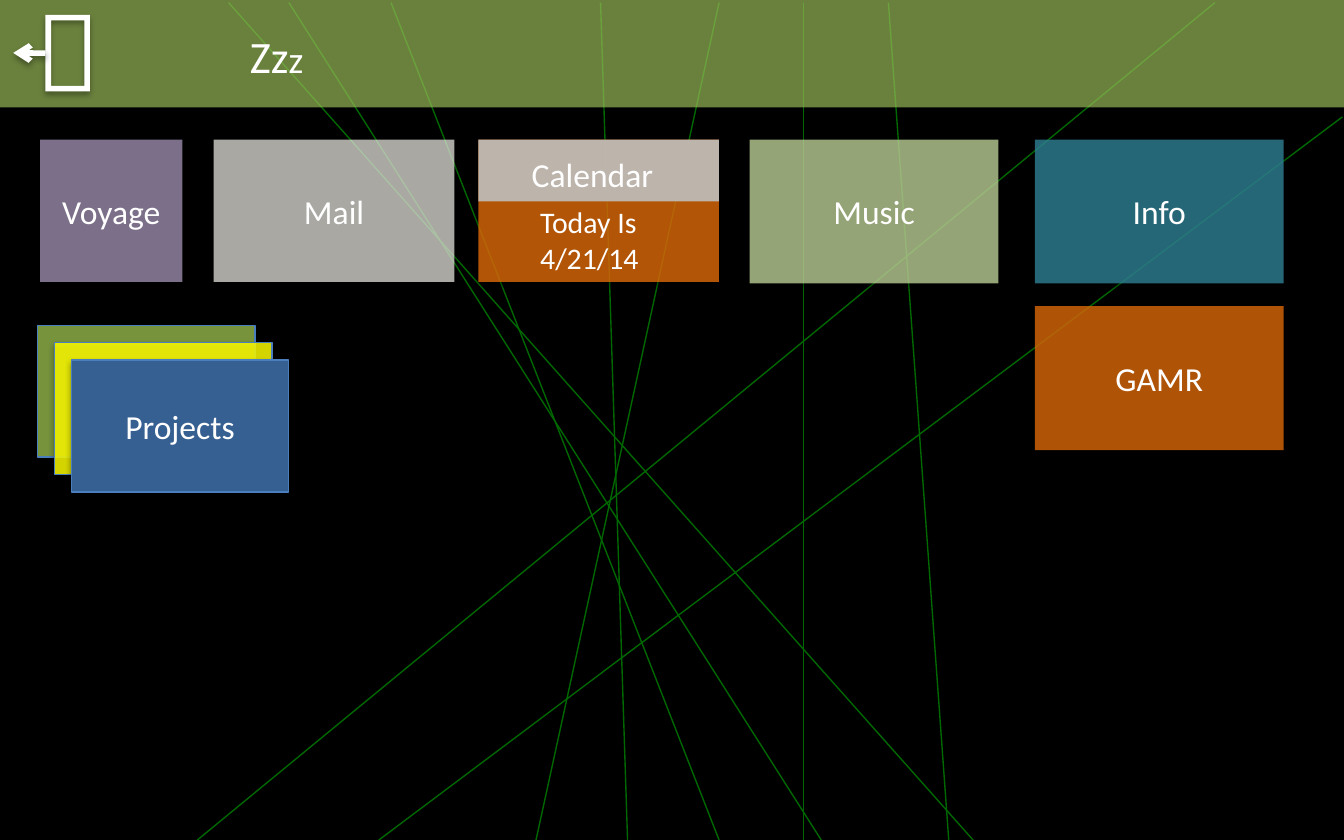
from dataclasses import dataclass

from lxml.etree import SubElement
from pptx import Presentation
from pptx.dml.color import RGBColor
from pptx.enum.shapes import MSO_CONNECTOR, MSO_SHAPE
from pptx.enum.text import MSO_ANCHOR, MSO_AUTO_SIZE, PP_ALIGN
from pptx.oxml.ns import qn
from pptx.util import Cm, Pt


@dataclass(frozen=True)
class Theme:
    font: str = "Calibri"
    head: int = 24
    small: int = 20
    label: int = 18
    date: int = 16
    white: str = "FFFFFF"
    black: str = "000000"
    beam: str = "006800"
    bar: str = "9BBB59"
    edge: str = "4B7EBC"
    mail: str = "F5F4ED"
    web: str = "B3A2C7"
    orange: str = "E46C0A"
    gray: str = "BFBFBF"
    music: str = "C3D69B"
    info: str = "31859C"
    stack: tuple = (("77933C", 100), ("FFFF00", 83), ("376092", 100))


T = Theme()
WIDE, HIGH = 25.4, 15.88
EDGE = 0.05  # top end of the beams
BEAMS = [  # top x, top y, bottom x
    (25.37, 2.21, 7.16), (7.39, EDGE, 13.59), (13.59, EDGE, 10.13),
    (16.79, EDGE, 17.93), (5.46, EDGE, 15.52), (22.96, EDGE, 3.73),
    (15.19, EDGE, 15.19), (4.32, EDGE, 18.39), (11.35, EDGE, 11.86),
]
ROW = 2.64
TILES = [  # text, box, colour, opacity
    ("Mail", (4.04, ROW, 4.55, 2.69), T.mail, 69),
    ("Voyage", (0.76, ROW, 2.69, 2.69), T.web, 69),
    ("Music", (14.17, ROW, 4.7, 2.72), T.music, 77),
    ("Info", (19.56, ROW, 4.7, 2.72), T.info, 77),
    ("GAMR", (19.56, 5.79, 4.7, 2.72), T.orange, 77),
]


def rgb(code):
    return RGBColor.from_string(code)


def effect(part, shade):
    """Give a part a soft shadow below it, or none at all."""
    group = SubElement(part._element.spPr, qn("a:effectLst"))
    if shade:
        drop = SubElement(group, qn("a:outerShdw"), blurRad="40000",
                          dist="23000", dir="5400000", rotWithShape="0")
        color = SubElement(drop, qn("a:srgbClr"), val=T.black)
        SubElement(color, qn("a:alpha"), val="35000")


def style(para, size):
    para.font.name = T.font
    para.font.size = Pt(size)
    para.font.color.rgb = rgb(T.white)


def block(shapes, box, color, alpha=100, edge=None, width=0.75, shade=True,
          text="", kind=MSO_SHAPE.RECTANGLE):
    part = shapes.add_shape(kind, *map(Cm, box))
    part.fill.solid()
    part.fill.fore_color.rgb = rgb(color)
    if alpha < 100:
        fill = part._element.spPr.find(".//" + qn("a:srgbClr"))
        SubElement(fill, qn("a:alpha"), val=str(alpha * 1000))
    if edge:
        part.line.color.rgb = rgb(edge)
        part.line.width = Pt(width)
    else:
        part.line.fill.background()
    effect(part, shade)
    if text:
        part.text_frame.text = text
        part.text_frame.vertical_anchor = MSO_ANCHOR.MIDDLE
        para = part.text_frame.paragraphs[0]
        para.alignment = PP_ALIGN.CENTER
        style(para, T.label)
    return part


def line(shapes, ends, color, width):
    part = shapes.add_connector(MSO_CONNECTOR.STRAIGHT, *map(Cm, ends))
    part.line.color.rgb = rgb(color)
    part.line.width = Pt(width)
    return part


def note(shapes, box, text, size, wrap):
    frame = shapes.add_textbox(*map(Cm, box)).text_frame
    frame.word_wrap = wrap
    frame.text = text
    for para in frame.paragraphs:
        style(para, size)
    return frame


def backdrop(shapes, box):
    x, y, w, h = box
    block(shapes, box, T.black, edge=T.black, width=2, shade=False)
    group = shapes.add_group_shape().shapes
    for top, drop, foot in BEAMS:
        beam = line(group, (x + top, y + drop, x + foot, y + h), T.beam, 0.75)
        effect(beam, False)


def header(shapes, box):
    x, y, w, h = box
    block(shapes, box, T.bar, 69, shade=False)

    # Exit icon: a door and an arrow leaving it
    icon = shapes.add_group_shape().shapes
    door = block(icon, (x + 0.86, y + 0.28, 0.84, 1.45), T.white,
                 kind=MSO_SHAPE.FRAME)
    arrow = line(icon, (x + 0.86, y + 1, x + 0.25, y + 1), T.white, 3)
    arrow.begin_connect(door, 1)
    SubElement(arrow.line._get_or_add_ln(), qn("a:tailEnd"), type="arrow")
    effect(arrow, True)

    # Title, brought in front of the bar
    title = shapes.title
    shapes._spTree.append(title._element)
    title.left, title.top = Cm(x + 4.47), Cm(y + 0.41)
    title.width, title.height = Cm(1.6), Cm(1.27)
    frame = title.text_frame
    frame.word_wrap = False
    frame.auto_size = MSO_AUTO_SIZE.NONE
    frame.vertical_anchor = MSO_ANCHOR.TOP
    para = frame.paragraphs[0]
    para.alignment = PP_ALIGN.LEFT
    style(para, T.head)
    para.add_run().text = "Zz"
    last = para.add_run()
    last.text = "z"
    last.font.size = Pt(T.small)


def projects(shapes, box):
    x, y, w, h = box
    group = shapes.add_group_shape().shapes
    for i, (color, alpha) in enumerate(T.stack):
        text = "Projects" if i == len(T.stack) - 1 else ""
        block(group, (x + i * 0.32, y + i * 0.33, w, h), color, alpha,
              edge=T.edge, text=text)


def calendar(shapes, box):
    x, y, w, h = box
    block(shapes, box, T.orange, 79)
    block(shapes, (x, y, w, 1.17), T.gray, 90, shade=False)
    note(shapes, (x + 0.76, y + 0.15, 3.12, 1.02), "Calendar", T.label, False)
    today = note(shapes, (x + 0.92, y + 1.47, 5.92, 0.84),
                 "Today Is\n4/21/14", T.date, True)
    today.vertical_anchor = MSO_ANCHOR.MIDDLE


def main():
    deck = Presentation()
    deck.slide_width, deck.slide_height = Cm(WIDE), Cm(HIGH)
    shapes = deck.slides.add_slide(deck.slide_layouts[5]).shapes
    backdrop(shapes, (0, 0, WIDE, HIGH))
    header(shapes, (0, 0, WIDE, 2.03))
    for text, box, color, alpha in TILES:
        block(shapes, box, color, alpha, text=text)
    projects(shapes, (0.71, 6.15, 4.11, 2.49))
    calendar(shapes, (9.04, ROW, 4.55, 2.69))
    deck.save("out.pptx")


if __name__ == "__main__":
    main()
